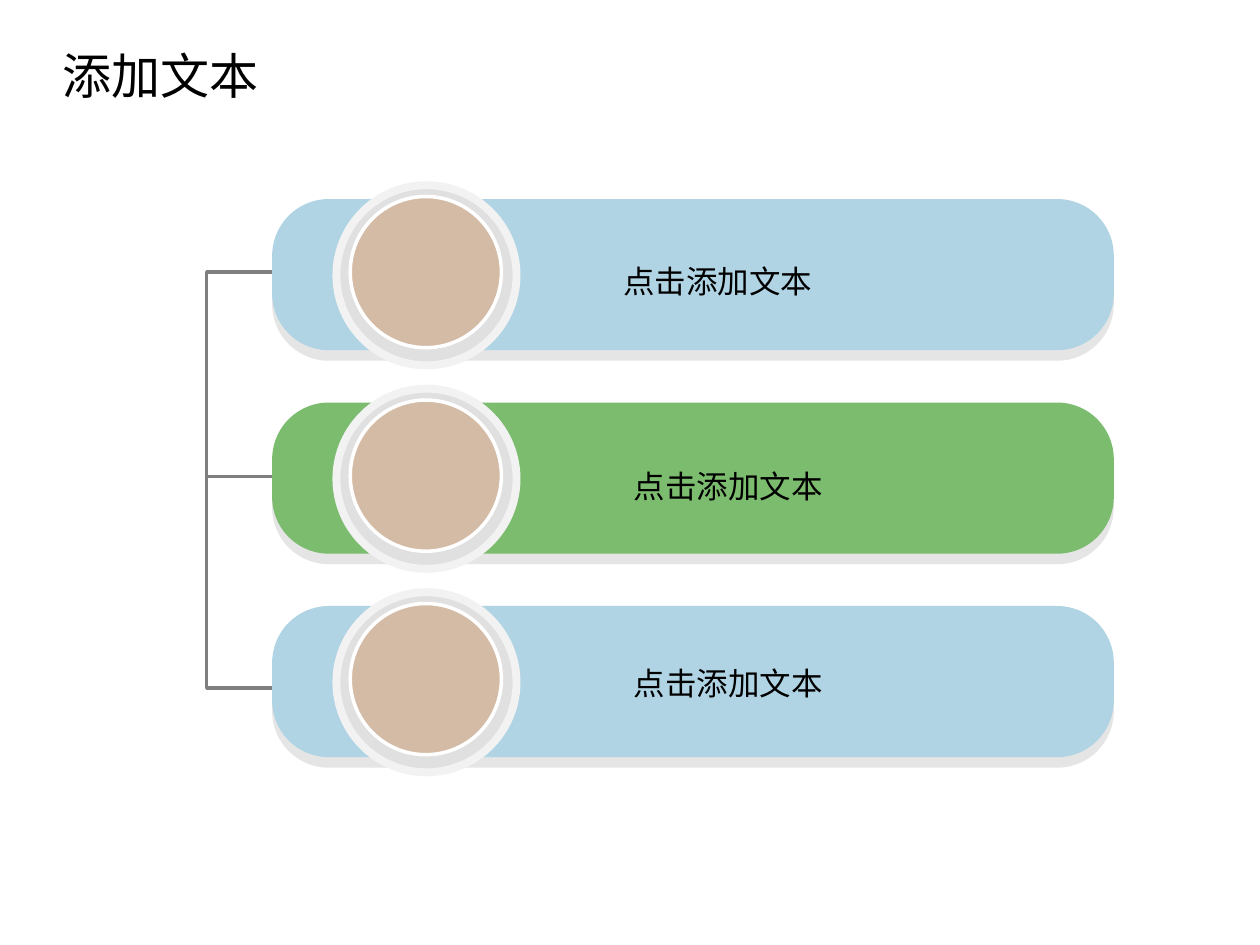
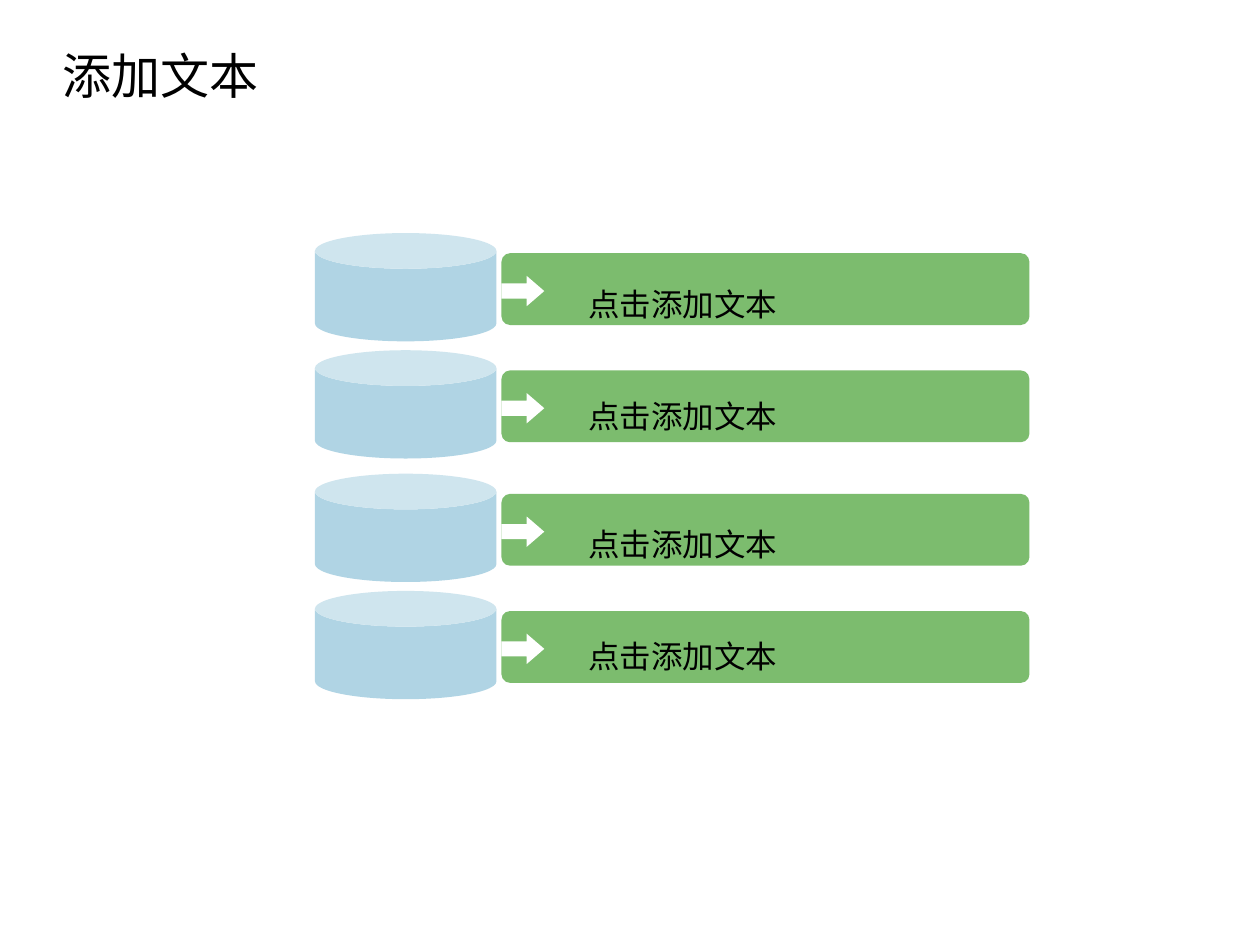
"""Builds two diagram slides: bracketed bars with discs, and cans pointing to bars."""
import pptx
import pptx.dml.color
import pptx.enum.shapes
import pptx.enum.text
import pptx.oxml
import pptx.oxml.ns
import pptx.util

RGBColor = pptx.dml.color.RGBColor
BLUE = RGBColor(0xB0, 0xD4, 0xE4)
GREEN = RGBColor(0x7C, 0xBC, 0x6E)
TAN = RGBColor(0xD4, 0xBB, 0xA6)
RING_FILL = RGBColor(0xE0, 0xE0, 0xE0)
RING_EDGE = RGBColor(0xF2, 0xF2, 0xF2)
GRAY = RGBColor(0x7F, 0x7F, 0x7F)
WHITE = RGBColor(0xFF, 0xFF, 0xFF)
BLACK = RGBColor(0, 0, 0)
FONT = "Noto Sans CJK SC"
COLUMNS, ROWS = 10, 7.5
TITLE = "添加文本"
LABEL = "点击添加文本"
KINDS = pptx.enum.shapes.MSO_SHAPE
DROP_SHADOW = (
    f'<a:effectLst {pptx.oxml.ns.nsdecls("a")}>'
    '<a:outerShdw blurRad="0" dist="76200" dir="5400000" algn="t" rotWithShape="0">'
    '<a:srgbClr val="BFBFBF"><a:alpha val="40000"/></a:srgbClr>'
    '</a:outerShdw></a:effectLst>'
)
NO_EFFECT = f'<a:effectLst {pptx.oxml.ns.nsdecls("a")}/>'


class Deck:
    """Holds the presentation, its shared style and the current slide."""

    def __init__(self):
        self.presentation = pptx.Presentation()
        self.presentation.slide_width = pptx.util.Inches(10)
        self.presentation.slide_height = pptx.util.Inches(7.5)
        self.slide = None

    def x(self, columns):
        return round(self.presentation.slide_width * columns / COLUMNS)

    def y(self, rows):
        return round(self.presentation.slide_height * rows / ROWS)

    def box(self, left, top, width, height):
        return self.x(left), self.y(top), self.x(width), self.y(height)

    def start_slide(self):
        self.slide = self.presentation.slides.add_slide(self.presentation.slide_layouts[6])

    def title(self):
        self.text(TITLE, 0.4, 0.31, 1.75, 0.57, 28)

    def label(self, left, top):
        self.text(LABEL, left, top, 1.7, 0.4, 18)

    def text(self, wording, left, top, width, height, size):
        shape = self.slide.shapes.add_textbox(*self.box(left, top, width, height))
        frame = shape.text_frame
        frame.text = wording
        frame.word_wrap = False
        frame.auto_size = pptx.enum.text.MSO_AUTO_SIZE.SHAPE_TO_FIT_TEXT
        font = frame.paragraphs[0].runs[0].font
        font.name = FONT
        font.size = pptx.util.Pt(size)
        font.color.rgb = BLACK
        east_asian = pptx.oxml.parse_xml(
            f'<a:ea {pptx.oxml.ns.nsdecls("a")} typeface="{FONT}"/>')
        font._element.find(pptx.oxml.ns.qn("a:latin")).addnext(east_asian)

    def shape(self, kind, place, fill, adjustments=(), edge=None, edge_width=0, raised=False):
        shape = self.slide.shapes.add_shape(kind, *self.box(*place))
        for index, value in enumerate(adjustments):
            shape.adjustments[index] = value
        shape.fill.solid()
        shape.fill.fore_color.rgb = fill
        if edge is None:
            shape.line.fill.background()
        else:
            self.stroke(shape.line, edge, edge_width)
        if raised:
            shape._element.spPr.append(pptx.oxml.parse_xml(DROP_SHADOW))
        else:
            shape.shadow.inherit = False

    def stroke(self, line, color, width):
        line.color.rgb = color
        line.width = pptx.util.Pt(width)

    def connector(self, start, end):
        connector = self.slide.shapes.add_connector(
            pptx.enum.shapes.MSO_CONNECTOR.STRAIGHT,
            self.x(start[0]), self.y(start[1]), self.x(end[0]), self.y(end[1]))
        self.stroke(connector.line, GRAY, 2)
        connector._element.spPr.append(pptx.oxml.parse_xml(NO_EFFECT))

    def polyline(self, points):
        first, *rest = [(self.x(column), self.y(row)) for column, row in points]
        builder = self.slide.shapes.build_freeform(*first)
        builder.add_line_segments(rest, close=False)
        shape = builder.convert_to_shape()
        shape.fill.background()
        self.stroke(shape.line, GRAY, 2)
        shape.shadow.inherit = False

    def disc_bar(self, top, color):
        self.shape(KINDS.ROUNDED_RECTANGLE, (2.16, top, 6.68, 1.2), color, [0.375], raised=True)
        self.shape(KINDS.OVAL, (2.67, top - 0.11, 1.43, 1.43), RING_FILL,
                   edge=RING_EDGE, edge_width=4.5)
        self.shape(KINDS.OVAL, (2.78, top - 0.02, 1.2, 1.2), TAN, edge=WHITE, edge_width=2)

    def can_row(self, top):
        self.shape(KINDS.CAN, (2.5, top, 1.44, 0.86), BLUE, [0.33])
        self.shape(KINDS.ROUNDED_RECTANGLE, (3.98, top + 0.16, 4.19, 0.57), GREEN, [0.12])
        self.shape(KINDS.RIGHT_ARROW, (3.98, top + 0.34, 0.34, 0.24), WHITE, [0.5, 0.58])


def build_bracket_slide(deck):
    deck.start_slide()
    deck.connector((1.64, 3.78), (2.39, 3.78))
    deck.polyline([(2.59, 5.46), (1.64, 5.46), (1.64, 2.16), (2.59, 2.16)])
    first_bar, last_bar = 1.58, 4.81
    pitch = (last_bar - first_bar) / 2
    for index, color in enumerate((BLUE, GREEN, BLUE)):
        deck.disc_bar(first_bar + index * pitch, color)
    deck.title()
    for left, top in ((4.85, 2.03), (4.93, 3.66), (4.93, 5.22)):
        deck.label(left, top)


def build_can_slide(deck):
    deck.start_slide()
    deck.title()
    for pair_top in (1.85, 3.76):
        for row_offset, label_offset in ((0, 0.36), (0.93, 0.32)):
            top = pair_top + row_offset
            deck.can_row(top)
            deck.label(4.57, top + label_offset)


def main():
    deck = Deck()
    build_bracket_slide(deck)
    build_can_slide(deck)
    deck.presentation.save("out.pptx")


if __name__ == "__main__":
    main()
